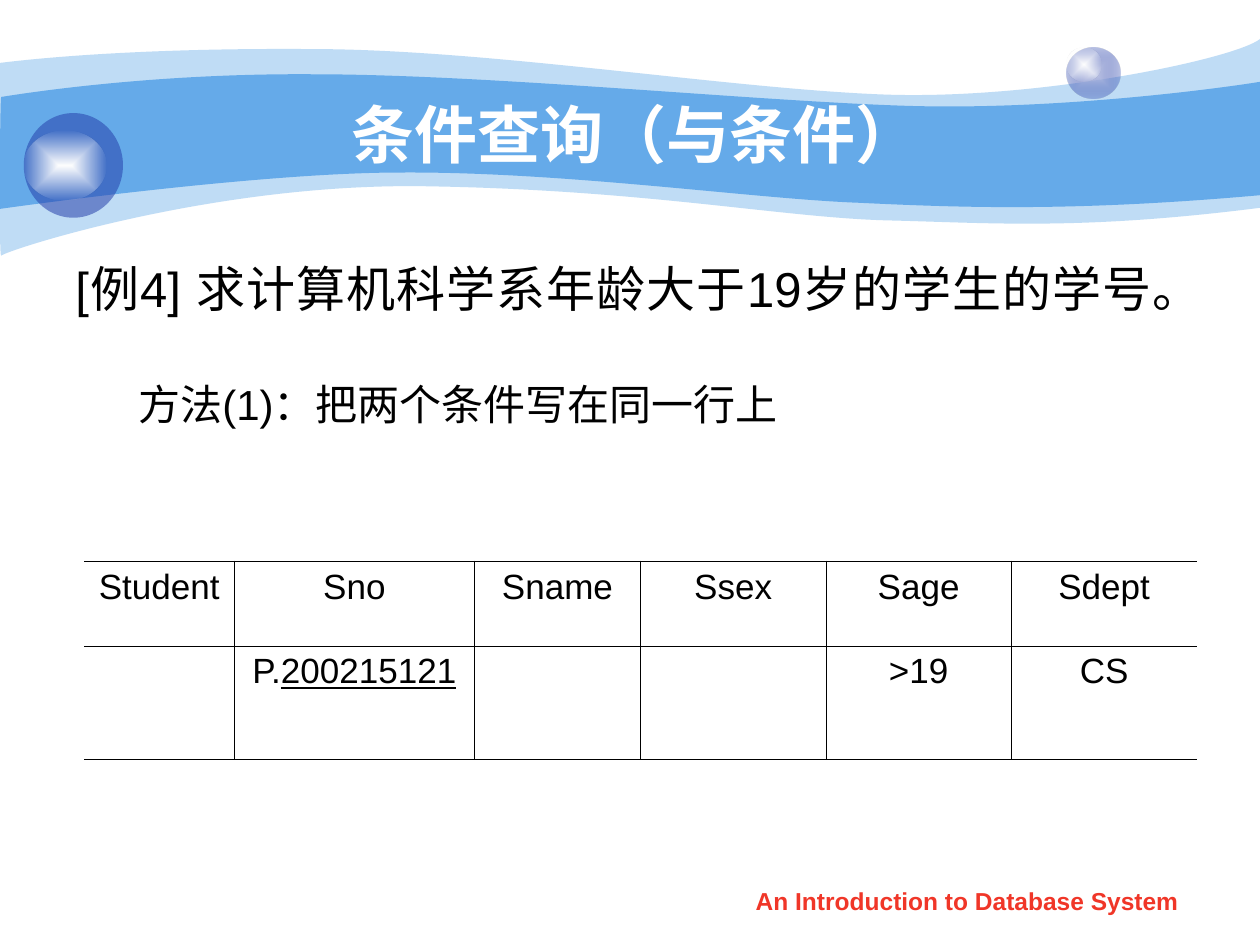
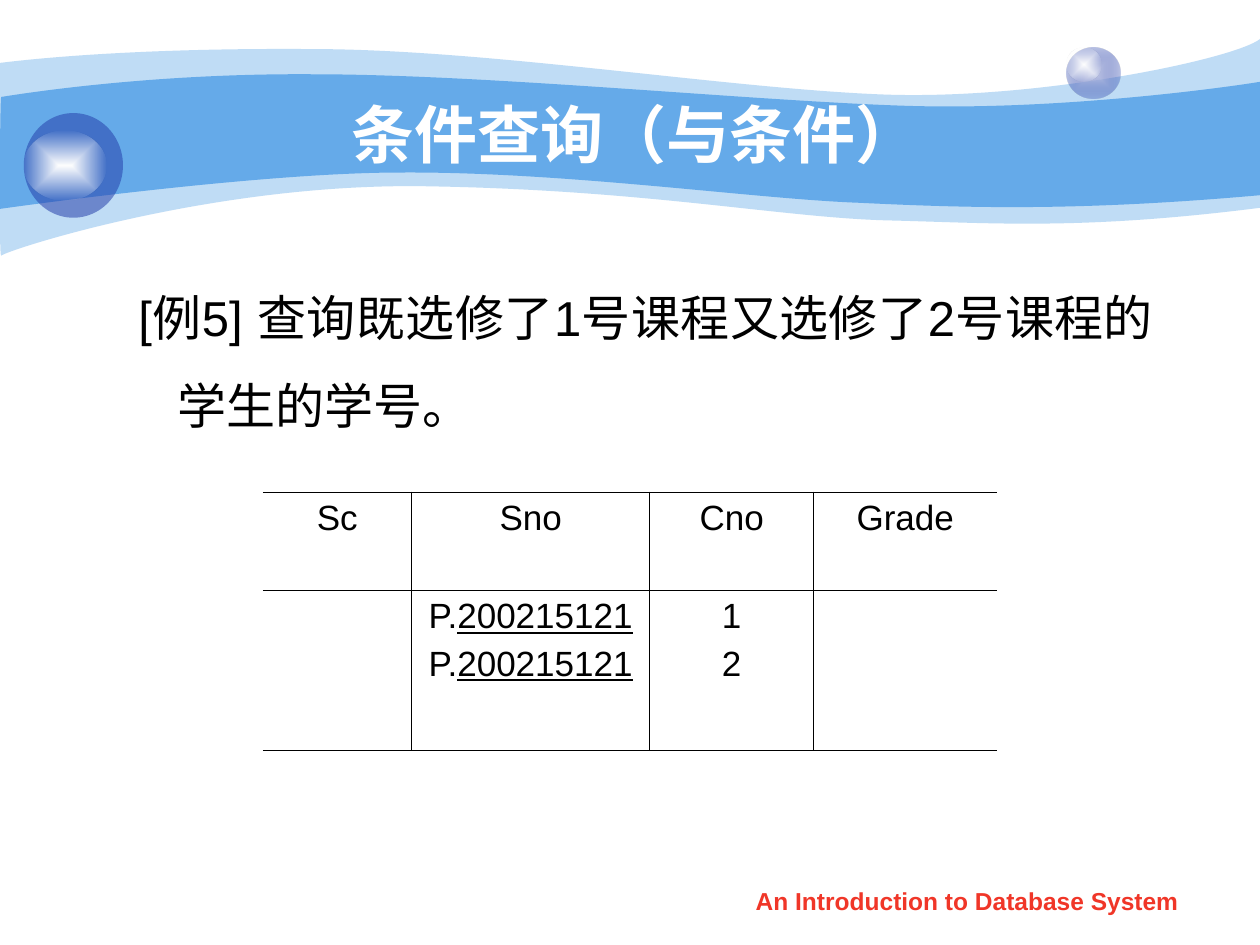
import collections
import lxml.etree
import pptx
import pptx.dml.color
import pptx.enum.shapes
import pptx.enum.text
import pptx.oxml.ns
import pptx.util

Cm = pptx.util.Cm
Pt = pptx.util.Pt
qn = pptx.oxml.ns.qn
ALIGN = pptx.enum.text.PP_ALIGN
ANCHOR = pptx.enum.text.MSO_ANCHOR

FONT = "Arial"
BLACK, WHITE, RED = "000000", "FFFFFF", "F03628"
SKY, NAVY, MIST = "65AAE9", "233DA9", "C6CCE8"
THIN, THICK = 0.45, 1.08

Box = collections.namedtuple("Box", "left top width height")

# Each wave lists its start, then Bezier segments (three points) or lines (one point),
# in tenths of the header width.
PALE_WAVE = [
    [(0, 0.5)],
    [(0.24, 0.47), (1.07, 0.38), (2.47, 0.39)],
    [(3.86, 0.39), (5.75, 0.7), (6.99, 0.75)],
    [(8.22, 0.8), (9.8, 0.47), (10, 0.31)],
    [(10, 1.65)],
    [(8.58, 1.83), (7.87, 1.77), (7.05, 1.75)],
    [(6.22, 1.73), (5.15, 1.51), (3.43, 1.48)],
    [(1.72, 1.44), (0.04, 1.99), (0.01, 2.03)],
    [(-0.01, 2.08), (0, 0.75), (0, 0.5)],
]
BLUE_WAVE = [
    [(0.01, 0.77)],
    [(0.02, 0.77), (1.1, 0.58), (2.48, 0.59)],
    [(3.86, 0.59), (5.95, 0.8), (7.18, 0.84)],
    [(8.41, 0.88), (9.76, 0.69), (10, 0.65)],
    [(10, 1.55)],
    [(8.53, 1.68), (7.65, 1.65), (6.82, 1.61)],
    [(5.99, 1.58), (4.47, 1.36), (3.17, 1.37)],
    [(2.03, 1.37), (-0.02, 1.66), (-0.01, 1.66)],
    [(0, 1.66), (0, 0.77), (0.01, 0.77)],
]


def cm_box(*lengths):
    """Return a box from left, top, width and height in centimetres."""
    return Box(*map(Cm, lengths))


def inside(box, left, top, width, height):
    """Return a box in centimetres placed relative to another box."""
    return Box(box.left + Cm(left), box.top + Cm(top), Cm(width), Cm(height))


def color(hex_string):
    """Turn a hex string into a colour."""
    return pptx.dml.color.RGBColor.from_string(hex_string)


def add_color_xml(parent, hex_string, alpha=100):
    """Append a colour with its opacity in percent."""
    rgb = lxml.etree.SubElement(parent, qn("a:srgbClr"), val=hex_string)
    if alpha < 100:
        lxml.etree.SubElement(rgb, qn("a:alpha"), val=str(alpha * 1000))


def fill_solid(shape, hex_string, alpha=100):
    """Fill a shape with one colour and remove its line and shadow."""
    shape.shadow.inherit = False
    shape.line.fill.background()
    shape.fill.solid()
    shape.fill.fore_color.rgb = color(hex_string)
    solid = shape.fill.fore_color._xFill
    solid.clear()
    add_color_xml(solid, hex_string, alpha)


def fill_glow(shape, center, edge, edge_alpha):
    """Fill a shape with a gradient that runs from its centre to its edge."""
    fill_solid(shape, center)
    solid = shape.fill.fore_color._xFill
    glow = lxml.etree.Element(qn("a:gradFill"), rotWithShape="1")
    stops = lxml.etree.SubElement(glow, qn("a:gsLst"))
    for position, hex_string, alpha in ((0, center, 100), (100, edge, edge_alpha)):
        stop = lxml.etree.SubElement(stops, qn("a:gs"), pos=str(position * 1000))
        add_color_xml(stop, hex_string, alpha)
    shading = lxml.etree.SubElement(glow, qn("a:path"))
    shading.set("path", "rect")
    lxml.etree.SubElement(shading, qn("a:fillToRect"), l="50000", t="50000", r="50000", b="50000")
    solid.getparent().replace(solid, glow)


def add_wave(slide, box, outline, alpha=100):
    """Draw a wave across the box, turning each run of three points into a curve."""
    unit = box.width / 10
    points = [(box.left + x * unit, box.top + y * unit)
              for segment in outline for x, y in segment]
    builder = slide.shapes.build_freeform(*points[0])
    builder.add_line_segments(points[1:], close=True)
    wave = builder.convert_to_shape()
    lines = iter(list(wave._element.iter(qn("a:lnTo"))))
    for segment in outline[1:]:
        steps = [next(lines) for _ in segment]
        if len(steps) == 3:
            curve = lxml.etree.Element(qn("a:cubicBezTo"))
            steps[0].addprevious(curve)
            for step in steps:
                curve.append(step[0])
                step.getparent().remove(step)
    fill_solid(wave, SKY, alpha)


def add_ball(slide, box):
    """Add an ellipse that fills the box."""
    return slide.shapes.add_shape(pptx.enum.shapes.MSO_SHAPE.OVAL, *box)


def write(paragraph, text, size=20, hex_string=BLACK, bold=False, align=ALIGN.CENTER,
          before=0, spacing=None, hanging=None):
    """Write text in a paragraph; parts between bars are underlined."""
    if hanging:
        left, indent = hanging
        properties = paragraph._p.get_or_add_pPr()
        properties.set("marL", str(Cm(left)))
        properties.set("indent", str(Cm(indent)))
    paragraph.alignment = align
    paragraph.space_before = Pt(before)
    if spacing:
        paragraph.line_spacing = spacing
    for index, part in enumerate(text.split("|")):
        if part:
            run = paragraph.add_run()
            run.text = part
            run.font.name = FONT
            run.font.size = Pt(size)
            run.font.bold = bold
            run.font.color.rgb = color(hex_string)
            if index % 2:
                run.font.underline = True


def add_text(slide, box, paragraphs, anchor=ANCHOR.TOP, **text_format):
    """Add a text box; each paragraph is a text and its own format."""
    frame = slide.shapes.add_textbox(*box).text_frame
    frame.word_wrap = True
    frame.vertical_anchor = anchor
    for index, (text, own_format) in enumerate(paragraphs):
        paragraph = frame.add_paragraph() if index else frame.paragraphs[0]
        write(paragraph, text, **{**text_format, **own_format})


def add_header(slide, box, title):
    """Draw the waves, the two balls and the title."""
    add_wave(slide, box, PALE_WAVE, alpha=41)
    add_wave(slide, box, BLUE_WAVE)
    fill_glow(add_ball(slide, inside(box, 21.5, 0.95, 1.08, 1.03)), MIST, NAVY, 31)
    fill_glow(add_ball(slide, inside(box, 21.5, 0.95, 0.7, 0.69)), WHITE, "FEFEFE", 0)
    fill_solid(add_ball(slide, inside(box, 0.48, 2.28, 2, 2.11)), NAVY, 53)
    fill_glow(add_ball(slide, inside(box, 0.48, 2.63, 1.66, 1.41)), WHITE, "FEFEFE", 0)
    add_text(slide, inside(box, 2.54, 1.9, 20.52, 1.58), [(title, {})],
             anchor=ANCHOR.MIDDLE, size=36, hex_string=WHITE, bold=True)


def add_footer(slide, box):
    """Add the course name at the foot of the slide."""
    add_text(slide, box, [("An Introduction to Database System", {})],
             size=14, hex_string=RED, bold=True)


def set_borders(cell, **widths):
    """Set the cell's borders; a width of zero hides the border."""
    properties = cell._tc.get_or_add_tcPr()
    for side in "LRTB":
        width = widths[side]
        line = lxml.etree.SubElement(properties, qn("a:ln" + side), w=str(Pt(width)))
        if width:
            add_color_xml(lxml.etree.SubElement(line, qn("a:solidFill")), BLACK)
        else:
            lxml.etree.SubElement(line, qn("a:noFill"))
    cell.fill.background()


def add_query_table(slide, box, rows, widths, heights):
    """Add a query table that is open at its left and right sides."""
    last_row, last_column = len(rows) - 1, len(widths) - 1
    table = slide.shapes.add_table(len(rows), len(widths), *box).table
    table.first_row = table.horz_banding = False
    for column, width in zip(table.columns, widths):
        column.width = Cm(width)
    for r, (row, height) in enumerate(zip(rows, heights)):
        table.rows[r].height = Cm(height)
        for c, text in enumerate(row):
            cell = table.cell(r, c)
            for index, line in enumerate(text.split("\n")):
                frame = cell.text_frame
                paragraph = frame.add_paragraph() if index else frame.paragraphs[0]
                write(paragraph, line, before=5 if index else 0)
            set_borders(cell, L=THIN if c else 0, R=THIN if c < last_column else 0,
                        T=THIN if r else THICK, B=THIN if r < last_row else THICK)


def add_query_slide(deck, question, question_box, rows, table_box, widths, heights):
    """Add a slide with the header, a question, its query table and the footer."""
    slide = deck.slides.add_slide(deck.slide_layouts[6])
    add_header(slide, Box(0, 0, deck.slide_width, Cm(5.28)), "条件查询（与条件）")
    add_text(slide, question_box, question, align=ALIGN.JUSTIFY)
    add_query_table(slide, table_box, rows, widths, heights)
    add_footer(slide, cm_box(14.5, 17.73, 10, 0.89))


def main():
    """Build and save the deck."""
    deck = pptx.Presentation()
    deck.slide_width, deck.slide_height = Cm(25.4), Cm(19.05)
    method_indent = (2.06, -0.79)
    add_query_slide(
        deck,
        [("[例4] 求计算机科学系年龄大于19岁的学生的学号。",
          {"size": 28, "hanging": (0.95, -0.95)}),
         ("方法(1)：把两个条件写在同一行上",
          {"size": 24, "hanging": method_indent, "before": 35})],
        cm_box(1.27, 5.08, 22.22, 5.44),
        [["Student", "Sno", "Sname", "Ssex", "Sage", "Sdept"],
         ["", "P.|200215121|", "", "", ">19", "CS"]],
        cm_box(1.7, 11.32, 22.43, 3.99),
        [3.02, 4.85, 3.34, 3.74, 3.74, 3.74], [1.7, 2.29])
    add_query_slide(
        deck,
        [("[例5] 查询既选修了1号课程又选修了2号课程的学生的学号。",
          {"size": 28, "hanging": method_indent, "spacing": 1.5})],
        cm_box(1.27, 5.08, 22.22, 4.65),
        [["Sc", "Sno", "Cno", "Grade"],
         ["", "P.|200215121|\nP.|200215121|", "1\n2", ""]],
        cm_box(5.3, 9.93, 14.8, 5.2),
        [3, 4.8, 3.3, 3.7], [1.98, 3.22])
    deck.save("out.pptx")


if __name__ == "__main__":
    main()
